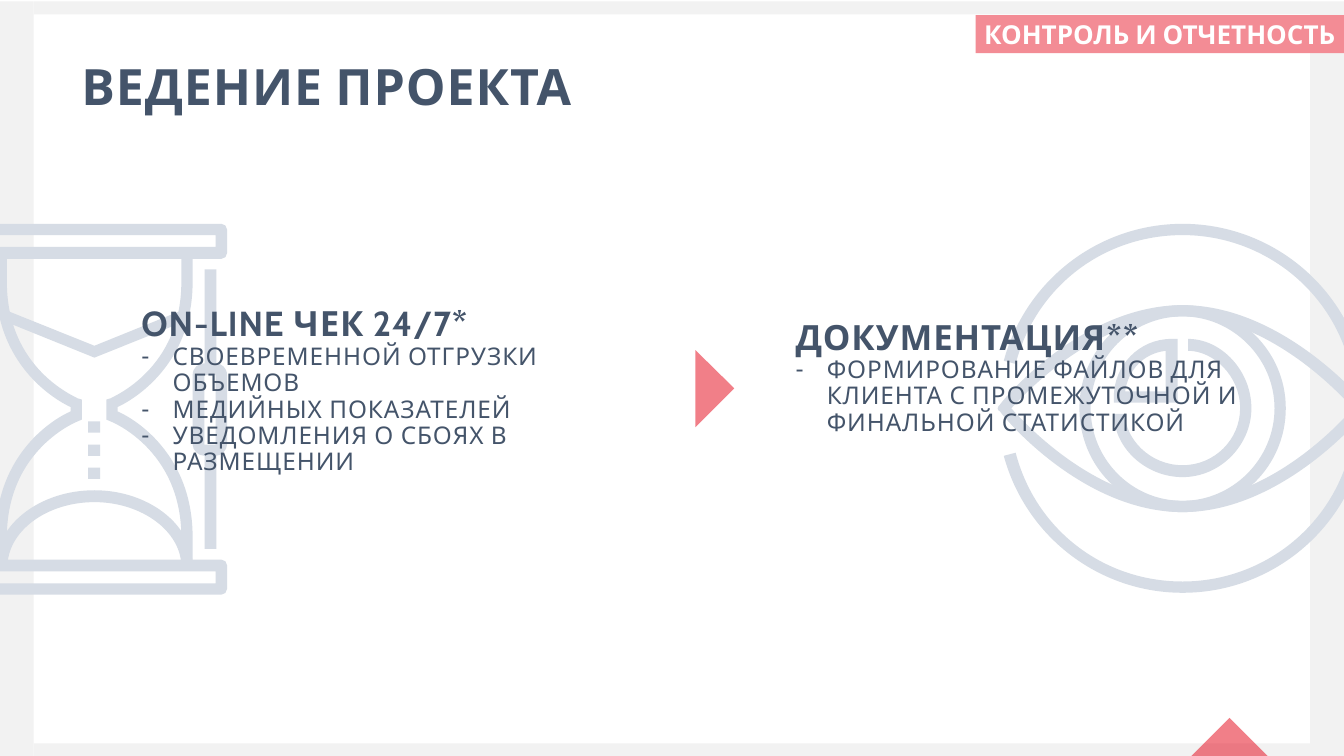
from dataclasses import dataclass

from lxml import etree
from pptx import Presentation
from pptx import util as u
from pptx.dml.color import RGBColor
from pptx.enum import shapes, text
from pptx.oxml.ns import qn

# The grid: square cells, ten to the inch
CELL = u.Inches(0.1)
COLUMNS, ROWS = 214.9, 120.9
SIDE, EDGE = 5.4, 2.1
FONT = "Cabin"
COLORS = {"frame": "F2F2F2", "tag": "F38C95", "tag text": "FFFFFF",
          "ink": "44546A", "icon": "D6DCE5", "accent": "E50013"}


@dataclass(frozen=True)
class Box:
    left: float
    top: float
    width: float
    height: float


@dataclass(frozen=True)
class Outline:
    """Contours of segments split by |: one point is a line, three are a curve.

    A mirror is the sum of a coordinate and its reflection.
    """
    contours: tuple[str, ...]
    mirror_x: float | None = None
    mirror_y: float | None = None


@dataclass(frozen=True)
class Topic:
    box: Box
    heading: str
    points: tuple[str, ...]
    bottom_inset: float = 0


FRAME = (
    Box(0, 0.2, SIDE, ROWS),
    Box(COLUMNS - SIDE, 0.2, SIDE, ROWS),
    Box(SIDE, 0.2, COLUMNS - 2 * SIDE, EDGE),
    Box(SIDE, ROWS + 0.1 - EDGE, COLUMNS - 2 * SIDE, EDGE),
)
ARROWS = (
    Outline(("190.5,120.9 | 196.6,114.8 | 202.7,120.9",)),
    Outline(("111.2,56 | 117.4,62.1 | 111.2,68.3",)),
)
EYE = (
    Outline((  # almond
        "189.1,81.9 | 173,81.9 160.3,66.5 159.9,65.8 | 159.4,65.6 159.4,65.1 159.9,64.7"
        "| 160.3,64 173,48.8 189.1,48.8 | 205,48.8 217.9,64 218.4,64.7"
        "| 218.6,65.1 218.6,65.6 218.4,65.8 | 217.9,66.5 205,81.9 189.1,81.9",
        "161.7,65.3 | 164.2,68.1 175.5,80.1 189.1,80.1 | 202.5,80.1 214,68.1 216.3,65.3"
        "| 214,62.6 202.5,50.6 189.1,50.6 | 175.5,50.6 164.2,62.6 161.7,65.3")),
    Outline((  # iris
        "189.1,81.9 | 179.9,81.9 172.6,74.6 172.6,65.3 | 172.6,56.1 179.9,48.8 189.1,48.8"
        "| 198,48.8 205.6,56.1 205.6,65.3 | 205.6,74.6 198,81.9 189.1,81.9",
        "189.1,50.6 | 180.9,50.6 174.4,57.3 174.4,65.3 | 174.4,73.4 180.9,80.1 189.1,80.1"
        "| 197.1,80.1 203.8,73.4 203.8,65.3 | 203.8,57.3 197.1,50.6 189.1,50.6")),
    Outline((  # pupil
        "189.1,76.3 | 183.1,76.3 178.1,71.5 178.1,66.2 | 179.9,66.2"
        "| 179.9,70.1 183.8,74.4 189.1,74.4 | 194.2,74.4 198.3,70.3 198.3,65.3"
        "| 198.3,60 193.9,56.1 190,56.1 | 190,54.2"
        "| 195.3,54.2 200.1,59.3 200.1,65.3 | 200.1,71.2 195.1,76.3 189.1,76.3",)),
    Outline((  # lids
        "215.8,58.2 | 212.6,45.9 201.5,37.6 189.1,37.6 | 176.4,37.6 165.6,45.9 162.4,58.2"
        "| 160.5,57.7 | 164,44.8 175.7,35.8 189.1,35.8 | 202.5,35.8 214.2,44.8 217.7,57.7",),
        mirror_y=130.6),
    Outline((  # glint
        "188.3,64.4 | 178.1,64.4 | 178.1,63.5 | 178.1,58.4 182.2,54.2 187.3,54.2 | 188.3,54.2",
        "179.9,62.6 | 186.4,62.6 | 186.4,56.1 | 182.9,56.5 180.4,59.1 179.9,62.6")),
)
HOURGLASS = (
    Outline((  # plates
        "35.4,41.4 | -5.2,41.4 | -5.7,41.4 -6.2,41 -6.2,40.5 | -6.2,36.7"
        "| -6.2,36.2 -5.7,35.8 -5.2,35.8 | 35.4,35.8 | 35.9,35.8 36.3,36.2 36.3,36.7"
        "| 36.3,40.5 | 36.3,41 35.9,41.4 35.4,41.4",
        "-4.3,39.5 | 34.5,39.5 | 34.5,37.6 | -4.3,37.6"), mirror_y=130.9),
    Outline((  # glass
        "30.8,90.6 | 29,90.6 | 29,85.9 | 29,71.8 17.7,67.4 17.7,67.4 | 17,67.1 | 17,63.9"
        "| 17.7,63.7 | 18.1,63.4 29,59 29,45.1 | 29,40.5 | 30.8,40.5 | 30.8,45.1"
        "| 30.8,58.3 21.4,63.9 18.8,65.1 | 18.8,65.8 | 21.4,66.9 30.8,72.5 30.8,85.9",),
        mirror_x=30.1),
    Outline(("15.1,57.2 | 1,51.5 | 1.4,49.8 | 15.1,55.3 | 28.7,49.8 | 29.3,51.5",)),
    Outline((  # sand heap
        "30.8,90.6 | 29,90.6 | 29,85 22.7,80.3 15.1,80.3 | 7.4,80.3 1.2,85 1.2,90.6"
        "| -0.7,90.6 | -0.7,83.8 6.5,78.4 15.1,78.4 | 23.6,78.4 30.8,83.8 30.8,90.6",)),
    Outline((  # handle
        "34.5,72.9 | 32.7,72.9 | 31.7,72.9 30.8,72 30.8,71.1 | 30.8,60"
        "| 30.8,58.8 31.7,58.1 32.7,58.1 | 34.5,58.1 | 35.4,58.1 36.3,58.8 36.3,60"
        "| 36.3,71.1 | 36.3,72 35.4,72.9 34.5,72.9",
        "32.7,60 | 32.7,71.1 | 34.5,71.1 | 34.5,60")),
)
GRAINS = tuple(Box(14.1, 67.4 + 3.7 * row, 1.9, 1.8) for row in range(3))
RODS = tuple(Box(32.7, top, 1.9, 15.8) for top in (43.1, 72))
TOPICS = (
    Topic(Box(22.6, 48.1, 84.2, 29), "ON-LINE ЧЕК 24/7*",
          ("СВОЕВРЕМЕННОЙ ОТГРУЗКИ ОБЪЕМОВ", "МЕДИЙНЫХ ПОКАЗАТЕЛЕЙ",
           "УВЕДОМЛЕНИЯ О СБОЯХ В РАЗМЕЩЕНИИ")),
    Topic(Box(127.2, 48.1, 80.3, 29), "ДОКУМЕНТАЦИЯ**",
          ("ФОРМИРОВАНИЕ ФАЙЛОВ ДЛЯ КЛИЕНТА С ПРОМЕЖУТОЧНОЙ И ФИНАЛЬНОЙ СТАТИСТИКОЙ",), 4.2),
)


def grid(box: Box) -> list[int]:
    return [round(side * CELL) for side in (box.left, box.top, box.width, box.height)]


def paint(shape, color: str, opacity: int = 100) -> None:
    shape.shadow.inherit = False
    shape.line.fill.background()
    shape.fill.solid()
    shape.fill.fore_color.rgb = RGBColor.from_string(COLORS[color])
    if opacity < 100:
        tint = shape.element.spPr.find(".//" + qn("a:srgbClr"))
        etree.SubElement(tint, qn("a:alpha")).set("val", str(opacity * 1000))


def add_bar(parent, box: Box, color: str):
    bar = parent.add_shape(shapes.MSO_SHAPE.RECTANGLE, *grid(box))
    paint(bar, color)
    return bar


def bend(shape, segments: list[list[str]]) -> None:
    """Join each run of three lines that stands for a curve into one Bézier."""
    lines = iter(list(shape.element.iter(qn("a:lnTo"))))
    for segment in segments:
        steps = [next(lines) for _ in segment]
        if len(steps) == 3:
            curve = etree.Element(qn("a:cubicBezTo"))
            steps[0].addprevious(curve)
            for step in steps:
                curve.append(step[0])
                step.getparent().remove(step)


def add_outline(parent, outline: Outline, color: str, opacity: int = 100) -> None:
    """Draw an outline and, where it has a mirror, its reflection."""
    mirrors = dict.fromkeys([(None, None), (outline.mirror_x, outline.mirror_y)])
    for mirror in mirrors:
        builder, segments = None, []
        for contour in outline.contours:
            parts = [part.split() for part in contour.split("|")]
            segments += parts[1:]
            first, *rest = [
                tuple(round((float(v) if m is None else m - float(v)) * CELL)
                      for v, m in zip(node.split(","), mirror))
                for part in parts for node in part]
            if builder is None:
                builder = parent.build_freeform(*first)
            else:
                builder.move_to(*first)
            builder.add_line_segments(rest, close=True)
        shape = builder.convert_to_shape()
        bend(shape, segments)
        paint(shape, color, opacity)


def style(paragraph, size: float, color: str, bold: bool, spacing: int = 0) -> None:
    font = paragraph.font
    font.name, font.size, font.bold = FONT, u.Pt(size), bold
    font.color.rgb = RGBColor.from_string(COLORS[color])
    paragraph._p.pPr.find(qn("a:defRPr")).set("spc", str(spacing))


def place(holder, box: Box, anchor, bottom_inset: float = 0):
    """Move a placeholder to its box and return its text frame."""
    holder.left, holder.top, holder.width, holder.height = grid(box)
    frame = holder.text_frame
    frame.margin_left = frame.margin_top = frame.margin_right = 0
    frame.margin_bottom = round(bottom_inset * CELL)
    frame.auto_size, frame.word_wrap = text.MSO_AUTO_SIZE.NONE, True
    frame.vertical_anchor = anchor
    return frame


def fill_topic(holder, topic: Topic) -> None:
    frame = place(holder, topic.box, text.MSO_ANCHOR.MIDDLE, topic.bottom_inset)
    frame.text = "\n".join((topic.heading, *topic.points))
    for index, paragraph in enumerate(frame.paragraphs):
        paragraph.line_spacing, paragraph.space_before = 0.9, u.Pt(0)
        indent = 5 * CELL if index else 0
        properties = paragraph._p.pPr
        properties.set("marL", str(indent))
        properties.set("indent", str(-indent))
        if index:
            etree.SubElement(properties, qn("a:buChar")).set("char", "-")
        else:
            etree.SubElement(properties, qn("a:buNone"))
        style(paragraph, 28 if index else 40, "ink", not index, 110)


def main() -> None:
    deck = Presentation()
    deck.slide_width, deck.slide_height = round(COLUMNS * CELL), round(ROWS * CELL)
    slide = deck.slides.add_slide(deck.slide_layouts.get_by_name("Two Content"))
    title, *bodies = slide.placeholders
    for band in FRAME:
        add_bar(slide.shapes, band, "frame")
    for arrow in ARROWS:
        add_outline(slide.shapes, arrow, "accent", 50)
    tag = add_bar(slide.shapes, Box(156, 2.4, 58.9, 6.1), "tag").text_frame
    tag.text, tag.word_wrap = "КОНТРОЛЬ И ОТЧЕТНОСТЬ", False
    tag.paragraphs[0].alignment = text.PP_ALIGN.CENTER
    style(tag.paragraphs[0], 30, "tag text", True)

    for outlines, bars in ((EYE, ()), (HOURGLASS, GRAINS + RODS)):
        icon = slide.shapes.add_group_shape().shapes
        for outline in outlines:
            add_outline(icon, outline, "icon")
        for bar in bars:
            add_bar(icon, bar, "icon")

    heading = place(title, Box(13, 10.9, 184.1, 7.3), text.MSO_ANCHOR.BOTTOM)
    heading.text = "ВЕДЕНИЕ ПРОЕКТА"
    heading.paragraphs[0].alignment = text.PP_ALIGN.LEFT
    heading.paragraphs[0].line_spacing = 0.7
    style(heading.paragraphs[0], 57.6, "ink", True, 110)
    for body, topic in zip(bodies, TOPICS):
        fill_topic(body, topic)
        slide.shapes.element.append(body.element)  # in front of the icons
    deck.save("out.pptx")


if __name__ == "__main__":
    main()
